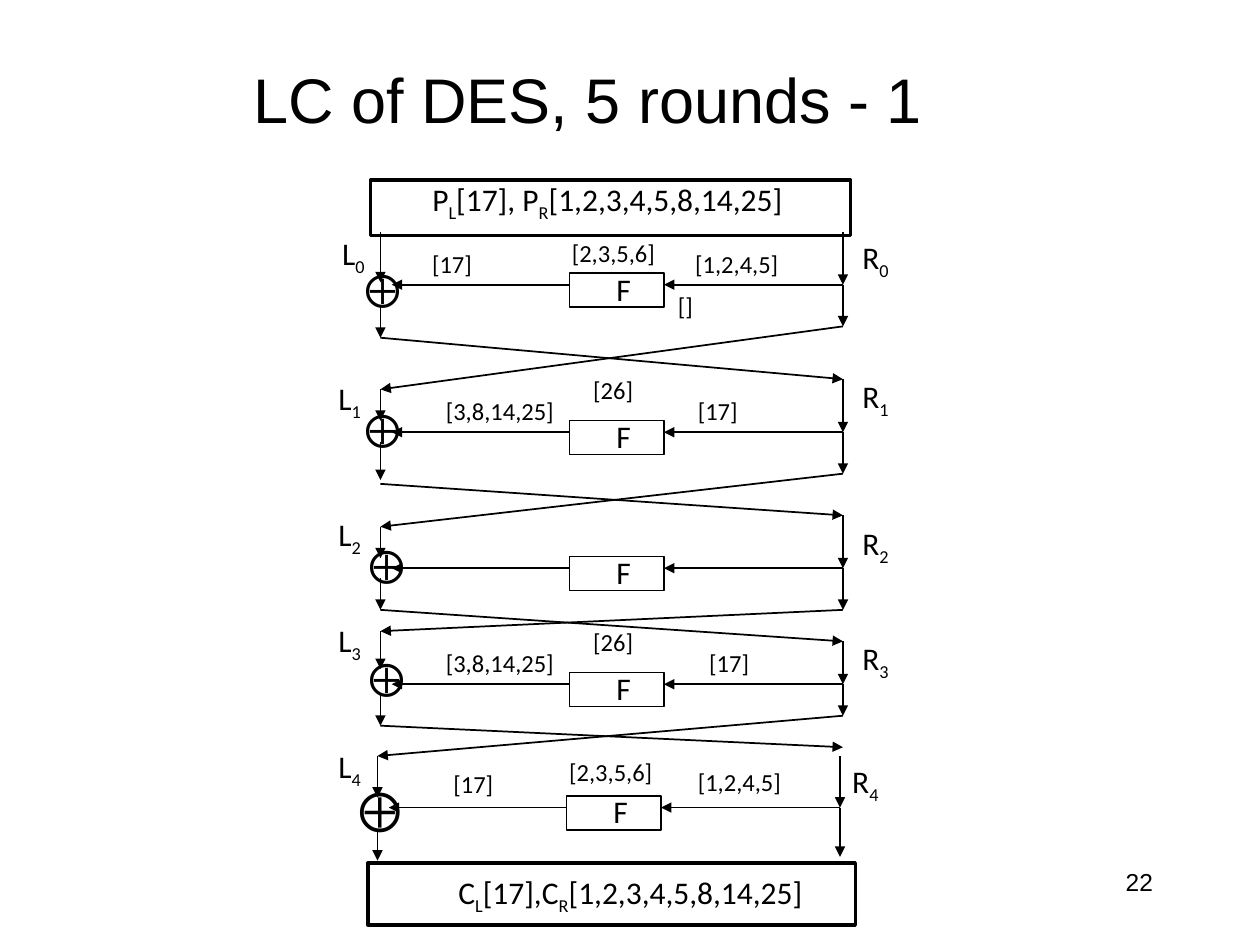
from dataclasses import dataclass
from itertools import pairwise

from lxml.etree import SubElement
from pptx import Presentation
from pptx.dml.color import RGBColor
from pptx.enum.shapes import MSO_CONNECTOR as Connector, MSO_SHAPE as Preset
from pptx.enum.text import MSO_ANCHOR as Anchor, MSO_AUTO_SIZE as AutoSize, PP_ALIGN as Align
from pptx.oxml.ns import qn
from pptx.slide import Slide
from pptx.util import Pt

COLORS = {"ink": "000000", "paper": "FFFFFF"}
LEFT_WIRE, RIGHT_WIRE = 217.4, 481.7
F_LEFT, F_WIDTH, F_HEIGHT = 325.4, 54, 19.5


@dataclass
class Round:
    """Heights of one Feistel round, with its sum sign and register labels."""
    wire: float
    left_in: tuple[float, float]
    left_out: tuple[float, float]
    right_in: float
    right_out: float
    cross_from: float
    cross_to: float
    sum_at: tuple[float, float]
    left_label: tuple[float, float]
    right_label: tuple[float, float]
    sum_size: float = 20
    shift: float = 0


@dataclass
class Mask:
    """A bit mask written beside a wire."""
    text: str
    left: float
    top: float
    width: float = 102


ROUNDS = [
    Round(162.7, (132.5, 161.3), (175, 193), 132.5, 186.5, 193, 216.7,
          (201.6, 149), (187.9, 130.3), (485.3, 132.5)),
    Round(247, (222.5, 240.5), (252.7, 274.3), 216.7, 270.7, 276.5, 294.5,
          (201.6, 229), (185.8, 213.1), (485.3, 211.7)),
    Round(324.7, (301, 319), (330.5, 348.5), 294.5, 348.5, 348.5, 366.5,
          (203.8, 306.7), (185.8, 290.9), (485.3, 295.9)),
    Round(391, (360.7, 382.3), (396.7, 414.7), 366.5, 409, 414.7, 427,
          (203.8, 370.8), (185.8, 351.4), (485.3, 361.4)),
    Round(461.5, (432, 455.8), (473.8, 491.8), 432, 489.6, 0, 0,
          (198, 443.5), (185.8, 423.4), (479.5, 432), sum_size=24, shift=-1.7),
]
MASKS = [
    Mask("[2,3,5,6]", 319.7, 132.5, 64), Mask("[]", 380.2, 162.7, 23),
    Mask("[17]", 239.8, 139), Mask("[1,2,4,5]", 390.2, 139, 64),
    Mask("[3,8,14,25]", 247.7, 222.5), Mask("[26]", 331.9, 211, 66),
    Mask("[17]", 391.7, 222.5, 66),
    Mask("[3,8,14,25]", 247.7, 366.5), Mask("[26]", 331.9, 355, 66),
    Mask("[17]", 398.2, 366.5, 66),
    Mask("[17]", 252, 435.6), Mask("[2,3,5,6]", 318.2, 429.1, 64),
    Mask("[1,2,4,5]", 391.7, 434.9),
]


def add_text(page: Slide, text: str, left: float, top: float, width: float, height: float, *,
             size: float = 18, font: str = "Calibri", align: Align = Align.CENTER,
             anchor: Anchor = Anchor.TOP, wrap: bool = True, grow: bool = True) -> None:
    """Write text in which an underscore lowers the next letter."""
    box = page.shapes.add_textbox(Pt(left), Pt(top), Pt(width), Pt(height))
    frame = box.text_frame
    frame.word_wrap = wrap
    frame.auto_size = AutoSize.SHAPE_TO_FIT_TEXT if grow else AutoSize.NONE
    frame.vertical_anchor = anchor
    para = frame.paragraphs[0]
    para.alignment = align
    first, *others = text.split("_")
    pieces = [(first, False)]
    for other in others:
        pieces += [(other[0], True), (other[1:], False)]
    for piece, lowered in pieces:
        if not piece:
            continue
        span = para.add_run()
        span.text = piece
        span.font.size = Pt(size)
        span.font.name = font
        span.font.color.rgb = RGBColor.from_string(COLORS["ink"])
        if lowered:
            span.font._element.set("baseline", "-25000")


def add_box(page: Slide, left: float, top: float, width: float, height: float,
            weight: float = 1) -> None:
    """Draw an unfilled rectangle."""
    box = page.shapes.add_shape(Preset.RECTANGLE, Pt(left), Pt(top), Pt(width), Pt(height))
    box.shadow.inherit = False
    box.fill.background()
    box.line.color.rgb = RGBColor.from_string(COLORS["ink"])
    box.line.width = Pt(weight)


def add_arrow(page: Slide, x1: float, y1: float, x2: float, y2: float) -> None:
    """Draw a straight arrow from the first point to the second."""
    arrow = page.shapes.add_connector(Connector.STRAIGHT, Pt(x1), Pt(y1), Pt(x2), Pt(y2))
    arrow.line.color.rgb = RGBColor.from_string(COLORS["ink"])
    arrow.line.width = Pt(1)
    SubElement(arrow.line._get_or_add_ln(), qn("a:tailEnd"), type="triangle")
    SubElement(arrow._element.spPr, qn("a:effectLst"))


def add_round(page: Slide, number: int, item: Round) -> None:
    """Draw the wires, F box, sum sign and register labels of one round."""
    left, right = LEFT_WIRE + item.shift, RIGHT_WIRE + item.shift
    f_left = F_LEFT + item.shift
    add_box(page, f_left, item.wire - 6.7, F_WIDTH, F_HEIGHT)
    add_text(page, "F", f_left + 19.5, item.wire - 12.2, 23, 29, wrap=False)
    add_text(page, "⨁", *item.sum_at, 32.4, item.sum_size * 1.2 + 7.2, size=item.sum_size)
    add_arrow(page, f_left, item.wire, left + 6.5, item.wire)
    add_arrow(page, right, item.wire, f_left + F_WIDTH, item.wire)
    for start, end in (item.left_in, item.left_out):
        add_arrow(page, left, start, left, end)
    for start, end in ((item.right_in, item.wire), (item.wire, item.right_out)):
        add_arrow(page, right, start, right, end)
    add_text(page, f"L_{number}", *item.left_label, 28, 29, wrap=False)
    add_text(page, f"R_{number}", *item.right_label, 30, 29, wrap=False)


def add_crossing(page: Slide, upper: Round, lower: Round) -> None:
    """Swap the two halves between consecutive rounds."""
    add_arrow(page, RIGHT_WIRE, upper.right_out, LEFT_WIRE + lower.shift, lower.left_in[0])
    add_arrow(page, LEFT_WIRE, upper.cross_from, RIGHT_WIRE, upper.cross_to)


def main() -> None:
    """Build the slide and save the deck."""
    deck = Presentation()
    deck.slide_width, deck.slide_height = Pt(720), Pt(540)
    page = deck.slides.add_slide(deck.slide_layouts[6])
    page.background.fill.solid()
    page.background.fill.fore_color.rgb = RGBColor.from_string(COLORS["paper"])
    add_text(page, "LC of DES, 5 rounds - 1", 30, 26, 612, 60, size=36, font="Arial",
             anchor=Anchor.MIDDLE, grow=False)
    add_text(page, "22", 516, 492, 150, 36, size=14, font="Arial", align=Align.RIGHT, grow=False)
    for number, item in enumerate(ROUNDS):
        add_round(page, number, item)
    for upper, lower in pairwise(ROUNDS):
        add_crossing(page, upper, lower)
    add_box(page, 211.7, 103, 274.3, 31.7, weight=2)
    add_text(page, "P_L[17], P_R[1,2,3,4,5,8,14,25]", 218.2, 99.4, 257.8, 29)
    add_box(page, 210.2, 493.2, 278.6, 35.3, weight=2)
    add_text(page, "C_L[17],C_R[1,2,3,4,5,8,14,25]", 228.2, 495.4, 264.2, 29)
    for mask in MASKS:
        add_text(page, mask.text, mask.left, mask.top, mask.width, 24, size=14, align=Align.LEFT)
    deck.save("out.pptx")


if __name__ == "__main__":
    main()
